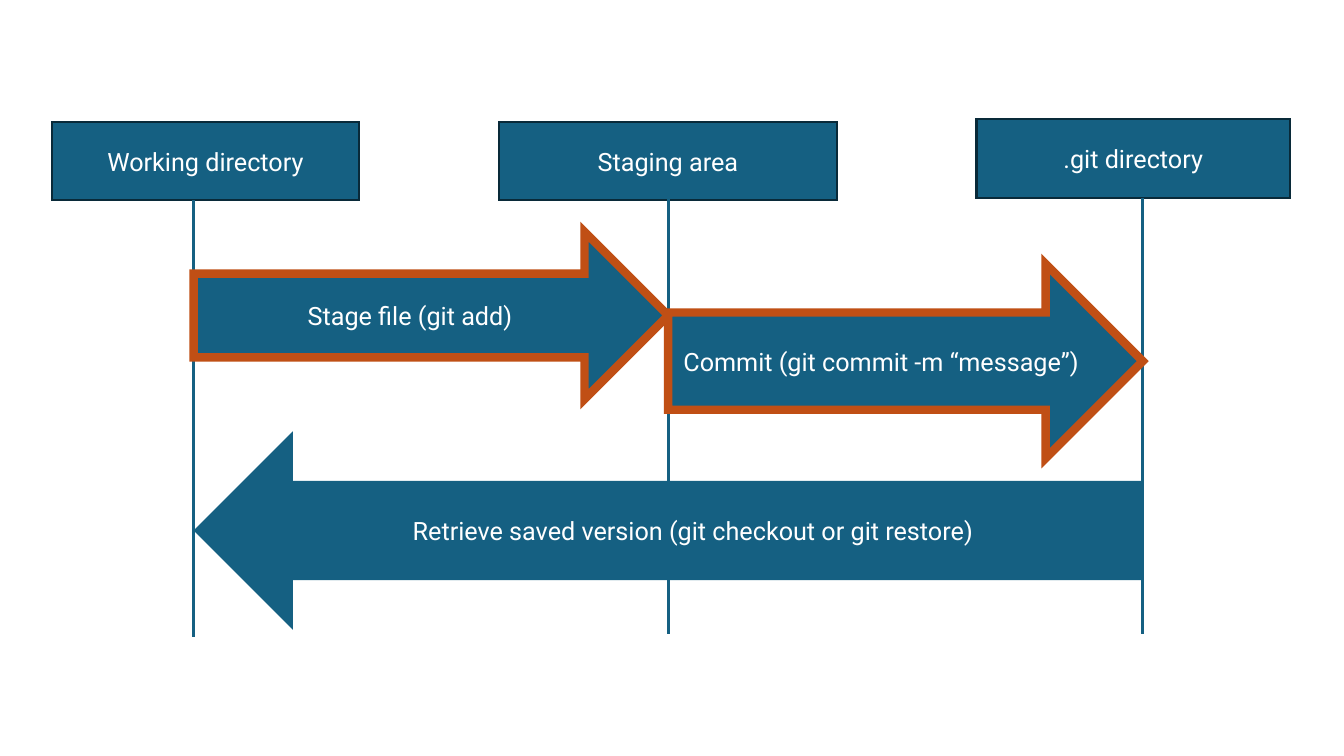
"""Build a slide showing how git moves files between its three areas."""
from lxml import etree
from pptx import Presentation
from pptx.dml.color import RGBColor
from pptx.enum.shapes import MSO_CONNECTOR, MSO_SHAPE
from pptx.enum.text import MSO_ANCHOR, PP_ALIGN
from pptx.oxml.ns import qn
from pptx.util import Cm, Pt

RECTANGLE = MSO_SHAPE.RECTANGLE
RIGHT_ARROW = MSO_SHAPE.RIGHT_ARROW
LEFT_ARROW = MSO_SHAPE.LEFT_ARROW
STRAIGHT = MSO_CONNECTOR.STRAIGHT
MIDDLE = MSO_ANCHOR.MIDDLE
CENTER = PP_ALIGN.CENTER
BLUE, NAVY, ORANGE, WHITE = "156082", "092A39", "C04F15", "FFFFFF"
BLANK_LAYOUT = 6


def color(hex_code):
    return RGBColor.from_string(hex_code)


def add_label(text, *, kind, left, top, width, height, outline=None, weight=0):
    block = slide.shapes.add_shape(kind, Cm(left), Cm(top), Cm(width), Cm(height))
    block.shadow.inherit = False
    block.fill.solid()
    block.fill.fore_color.rgb = color(BLUE)
    if outline:
        block.line.color.rgb = color(outline)
        block.line.width = Pt(weight)
        etree.SubElement(block.line._get_or_add_ln(), qn("a:miter"), lim="800000")
    else:
        block.line.fill.background()
    frame = block.text_frame
    frame.word_wrap = True
    frame.vertical_anchor = MIDDLE
    paragraph = frame.paragraphs[0]
    paragraph.alignment = CENTER
    run = paragraph.add_run()
    run.text = text
    run.font.name = "Roboto"
    run.font.size = Pt(18)
    run.font.color.rgb = color(WHITE)


deck = Presentation()
deck.slide_width, deck.slide_height = Cm(33.87), Cm(19.05)
slide = deck.slides.add_slide(deck.slide_layouts[BLANK_LAYOUT])

first_lifeline, lifeline_gap, lifeline_length = 4.88, 11.96, 11
lifelines = [first_lifeline + lifeline_gap * i for i in range(3)]

areas = [
    ("Working directory", 1.32, 3.07, 7.72),
    ("Staging area", 12.57, 3.07, 8.53),
    (".git directory", 24.61, 3, 7.9),
]
for name, left, top, width in areas:
    add_label(name, kind=RECTANGLE, left=left, top=top, width=width, height=1.98,
              outline=NAVY, weight=1.5)

for x, top in zip(lifelines, (5.05, 4.98, 4.98)):
    lifeline = slide.shapes.add_connector(
        STRAIGHT, Cm(x), Cm(top), Cm(x), Cm(top + lifeline_length))
    lifeline.line.color.rgb = color(BLUE)
    lifeline.line.width = Pt(2.25)
    etree.SubElement(lifeline._element.spPr, qn("a:effectLst"))

steps = [
    ("Stage file (git add)", RIGHT_ARROW, 0, 1, 5.84, 4.22, ORANGE),
    ("Commit (git commit -m “message”)", RIGHT_ARROW, 1, 2, 6.65, 4.9, ORANGE),
    ("Retrieve saved version (git checkout or git restore)",
     LEFT_ARROW, 0, 2, 10.87, 5, None),
]
for command, direction, start, end, top, height, outline in steps:
    add_label(command, kind=direction, left=lifelines[start], top=top,
              width=lifelines[end] - lifelines[start], height=height,
              outline=outline, weight=6)

deck.save("out.pptx")
